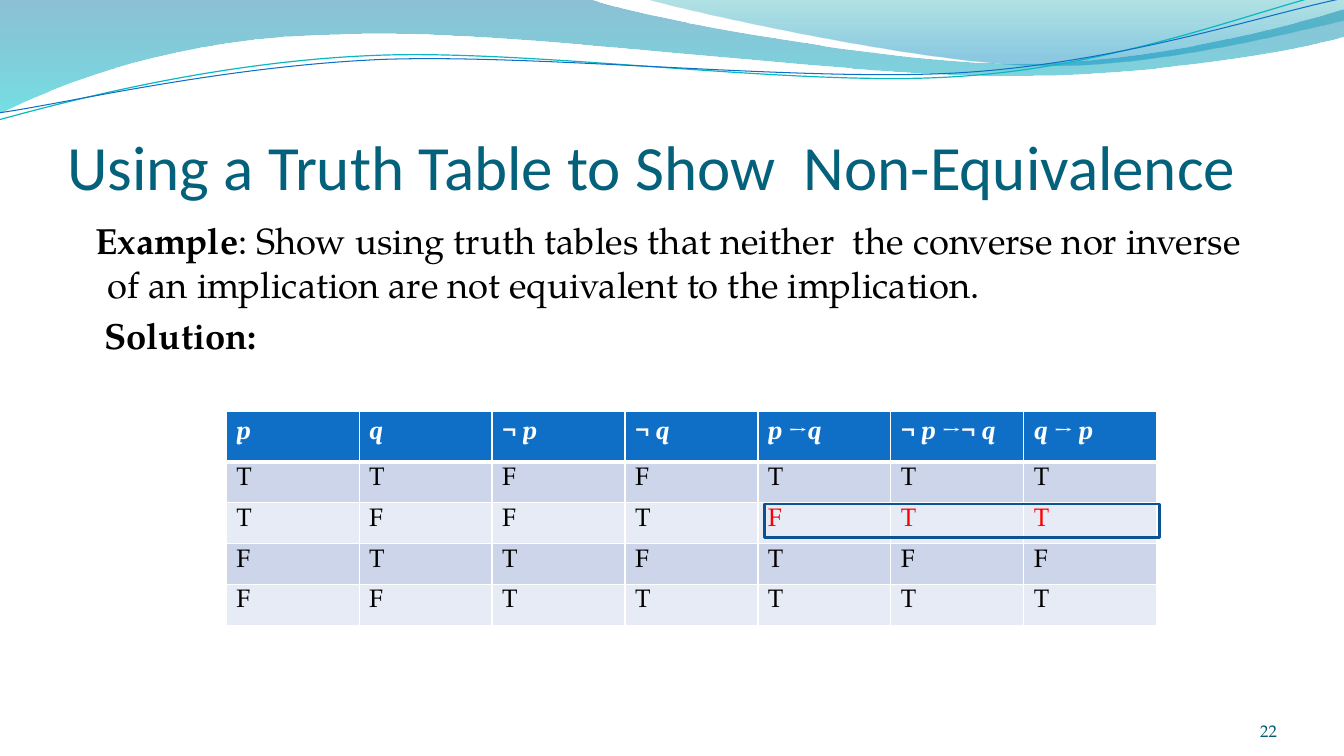
import math

from lxml import etree
from pptx import Presentation
from pptx.dml.color import RGBColor
from pptx.enum import shapes, text
from pptx.oxml.ns import qn
from pptx.util import Cm, Pt

WHITE = RGBColor(0xFF, 0xFF, 0xFF)
BLACK = RGBColor(0x00, 0x00, 0x00)
RED = RGBColor(0xFF, 0x00, 0x00)
TITLE_TEAL = RGBColor(0x04, 0x61, 0x7B)
NUMBER_TEAL = RGBColor(0x04, 0x5D, 0x75)
HEADER_BLUE = RGBColor(0x0F, 0x6F, 0xC6)
FRAME_BLUE = RGBColor(0x0B, 0x52, 0x92)
CYAN_LINE = RGBColor(0x0A, 0xB8, 0xBF)
BANDS = RGBColor(0xCC, 0xD5, 0xEA), RGBColor(0xE7, 0xEB, 0xF5)
SERIF = "TeX Gyre Pagella"

# Gradient stops: position, colour, opacity in percent
WIDE_STOPS = [(0, RGBColor(0x00, 0x74, 0xA1), 45), (1, RGBColor(0x00, 0xC6, 0xCF), 55)]
CORNER_STOPS = [(0, RGBColor(0x00, 0xA1, 0xA9), 30), (0.8, RGBColor(0x00, 0x8B, 0xBF), 45)]

# Boxes (left, top, width, height) and outlines in cm. An outline is a start
# point, then line ends (2 numbers) or Bézier curves (6 numbers).
WIDE_BOX = (-0.03, -0.03, 33.93, 2.9)
WIDE_WAVE = [
    (0, 0), (14.91, -0.02),
    (16.1, 0.43, 22.48, 1.6, 25.68, 1.6), (28.91, 1.6, 32.46, 0.66, 33.86, 0.23),
    (33.91, 0.91),
    (33.3, 1.12, 29.46, 1.93, 25.25, 1.91), (21.06, 1.91, 12.93, 0.71, 8.71, 0.86),
    (4.37, 0.91, 1.55, 2.11, -0.03, 2.87), (0, 0),
]
CORNER_BOX = (16.23, -0.03, 17.63, 1.78)
CORNER_WAVE = [
    (16.23, -0.03),
    (17.25, 0.28, 23.09, 1.57, 26.04, 1.65), (28.98, 1.75, 32.56, 0.81, 33.86, 0.53),
    (33.86, 0), (16.23, -0.03),
]
LINE_TILT = -2.7
CYAN_BOX = (-0.08, 0.56, 33.93, 1.8)
CYAN_WAVE = [
    (-0.03, 3.02),
    (1.63, 2.57, 5.36, 1.57, 9.37, 1.4), (13.39, 1.22, 20.07, 2.21, 24.13, 1.93),
    (28.19, 1.68, 31.8, 0.2, 33.81, -0.25),
]
BLUE_BOX = (-0.05, 0.76, 33.99, 1.47)
BLUE_WAVE = [
    (0, 2.84),
    (1.6, 2.62, 5.54, 1.68, 9.6, 1.5), (13.64, 1.35, 20.22, 2.08, 24.26, 1.83),
    (28.32, 1.57, 31.88, 0.36, 33.88, -0.05),
]

HEADINGS = [
    ["p"], ["q"], ["¬ ", "p"], ["¬ ", "q"],
    ["p ", "→", "q"], ["¬ ", "p ", "→¬ ", "q"], ["q ", "→ ", "p"],
]
TRUTH_ROWS = ["TTFFTTT", "TFFTFTT", "FTTFTFF", "FFTTTTT"]
COUNTEREXAMPLE_ROW, FIRST_RESULT_COLUMN = 2, 4


def place_in_box(x, y, box, tilt):
    """Give a slide point's place inside a box that is turned by tilt degrees."""
    left, top, width, height = box
    dx, dy = x - left - width / 2, y - top - height / 2
    cos, sin = math.cos(math.radians(tilt)), math.sin(math.radians(tilt))
    return Cm(dx * cos + dy * sin + width / 2), Cm(dy * cos - dx * sin + height / 2)


def add_wave(slide, box, outline, closed, tilt=0):
    builder = slide.shapes.build_freeform(0, 0)
    builder.add_line_segments([(Cm(box[2]), Cm(box[3]))], close=closed)
    wave = builder.convert_to_shape()
    wave.left, wave.top, wave.width, wave.height = map(Cm, box)
    wave.rotation = tilt
    wave.shadow.inherit = False
    outline_xml = next(wave._element.iter(qn("a:path")))
    for child in list(outline_xml):
        outline_xml.remove(child)
    for index, segment in enumerate(outline):
        tag = "a:moveTo" if index == 0 else "a:lnTo" if len(segment) == 2 else "a:cubicBezTo"
        command = etree.SubElement(outline_xml, qn(tag))
        for x, y in zip(segment[::2], segment[1::2]):
            point = etree.SubElement(command, qn("a:pt"))
            for axis, value in zip("xy", place_in_box(x, y, box, tilt)):
                point.set(axis, str(int(value)))
    if closed:
        etree.SubElement(outline_xml, qn("a:close"))
    return wave


def add_filled_wave(slide, box, outline, stops):
    wave = add_wave(slide, box, outline, closed=True)
    wave.line.fill.background()
    wave.fill.gradient()
    wave.fill.gradient_angle = 270
    for stop, (position, color, _) in zip(wave.fill.gradient_stops, stops):
        stop.position = position
        stop.color.rgb = color
    colors = wave._element.spPr.find(qn("a:gradFill")).iter(qn("a:srgbClr"))
    for color_element, (_, _, opacity) in zip(colors, stops):
        etree.SubElement(color_element, qn("a:alpha")).set("val", str(opacity * 1000))


def add_line_wave(slide, box, outline, color, width):
    wave = add_wave(slide, box, outline, closed=False, tilt=LINE_TILT)
    wave.fill.background()
    wave.line.color.rgb = color
    wave.line.width = Pt(width)


def add_run(paragraph, wording, size, font, color, bold=False, italic=False):
    run = paragraph.add_run()
    run.text = wording
    run.font.size = Pt(size)
    run.font.name = font
    run.font.color.rgb = color
    run.font.bold = bold
    run.font.italic = italic


def add_text_frame(slide, left, top, width, height, anchor=text.MSO_ANCHOR.TOP):
    frame = slide.shapes.add_textbox(Cm(left), Cm(top), Cm(width), Cm(height)).text_frame
    frame.word_wrap = True
    frame.vertical_anchor = anchor
    return frame


def add_flush_text(slide, box, wording, size, font, color, align):
    """One bottom-anchored line without side or bottom margins."""
    frame = add_text_frame(slide, *box, anchor=text.MSO_ANCHOR.BOTTOM)
    frame.margin_left = frame.margin_right = frame.margin_bottom = 0
    frame.paragraphs[0].alignment = align
    add_run(frame.paragraphs[0], wording, size, font, color)


def set_indent(paragraph, left, first):
    properties = paragraph._p.get_or_add_pPr()
    properties.set("marL", str(Cm(left)))
    properties.set("indent", str(Cm(first)))


def add_example(slide):
    frame = add_text_frame(slide, 1.7, 5.38, 30.48, 12.19)
    example = frame.paragraphs[0]
    set_indent(example, 0.76, -0.3)
    add_run(example, "Example", 26, SERIF, BLACK, bold=True)
    add_run(example, ": Show using truth tables that neither  the converse nor inverse of an "
            "implication are not equivalent to the implication.", 26, SERIF, BLACK)
    solution = frame.add_paragraph()
    set_indent(solution, 0.76, -0.08)
    solution.space_before = Pt(5.2)
    add_run(solution, "Solution:", 26, SERIF, BLACK, bold=True)


def fill_cell(cell, color, bottom_border=1):
    cell.fill.solid()
    cell.fill.fore_color.rgb = color
    properties = cell._tc.get_or_add_tcPr()
    for index, side in enumerate("LRTB"):
        border = etree.Element(qn("a:ln" + side))
        border.set("w", str(Pt(bottom_border if side == "B" else 1)))
        solid = etree.SubElement(border, qn("a:solidFill"))
        etree.SubElement(solid, qn("a:srgbClr")).set("val", str(WHITE))
        properties.insert(index, border)
    return cell.text_frame.paragraphs[0]


def add_truth_table(slide):
    columns = len(HEADINGS)
    table = slide.shapes.add_table(
        len(TRUTH_ROWS) + 1, columns, Cm(5.7), Cm(10.37), Cm(3.35 * columns), Cm(5.39)).table
    for column in table.columns:
        column.width = Cm(3.35)
    for row_number, row in enumerate(table.rows):
        row.height = Cm(1.03 if row_number else 1.27)
    for column, pieces in enumerate(HEADINGS):
        heading = fill_cell(table.cell(0, column), HEADER_BLUE, bottom_border=3)
        for piece in pieces:
            is_variable = piece.strip() in ("p", "q")
            add_run(heading, piece, 18, "Cambria", WHITE, bold=True, italic=is_variable)
    for row, values in enumerate(TRUTH_ROWS, 1):
        for column, value in enumerate(values):
            differs = row == COUNTEREXAMPLE_ROW and column >= FIRST_RESULT_COLUMN
            paragraph = fill_cell(table.cell(row, column), BANDS[(row - 1) % 2],
                                  bottom_border=1)
            add_run(paragraph, value, 18, SERIF, RED if differs else BLACK)


def add_counterexample_frame(slide):
    frame = slide.shapes.add_shape(
        shapes.MSO_SHAPE.RECTANGLE, Cm(19.27), Cm(12.7), Cm(9.96), Cm(0.85))
    frame.shadow.inherit = False
    frame.fill.background()
    frame.line.color.rgb = FRAME_BLUE
    frame.line.width = Pt(2)


def main():
    presentation = Presentation()
    presentation.slide_width, presentation.slide_height = Cm(33.87), Cm(19.05)
    slide = presentation.slides.add_slide(presentation.slide_layouts[6])
    add_filled_wave(slide, WIDE_BOX, WIDE_WAVE, WIDE_STOPS)
    add_filled_wave(slide, CORNER_BOX, CORNER_WAVE, CORNER_STOPS)
    add_line_wave(slide, CYAN_BOX, CYAN_WAVE, CYAN_LINE, 0.85)
    add_line_wave(slide, BLUE_BOX, BLUE_WAVE, HEADER_BLUE, 0.75)
    add_flush_text(slide, (1.7, 1.94, 30.48, 3.18),
                   "Using a Truth Table to Show  Non-Equivalence",
                   45, "Calibri", TITLE_TEAL, text.PP_ALIGN.LEFT)
    add_example(slide)
    add_truth_table(slide)
    add_counterexample_frame(slide)
    add_flush_text(slide, (29.36, 17.65, 2.82, 1.02), "22",
                   12, SERIF, NUMBER_TEAL, text.PP_ALIGN.RIGHT)
    presentation.save("out.pptx")


if __name__ == "__main__":
    main()
